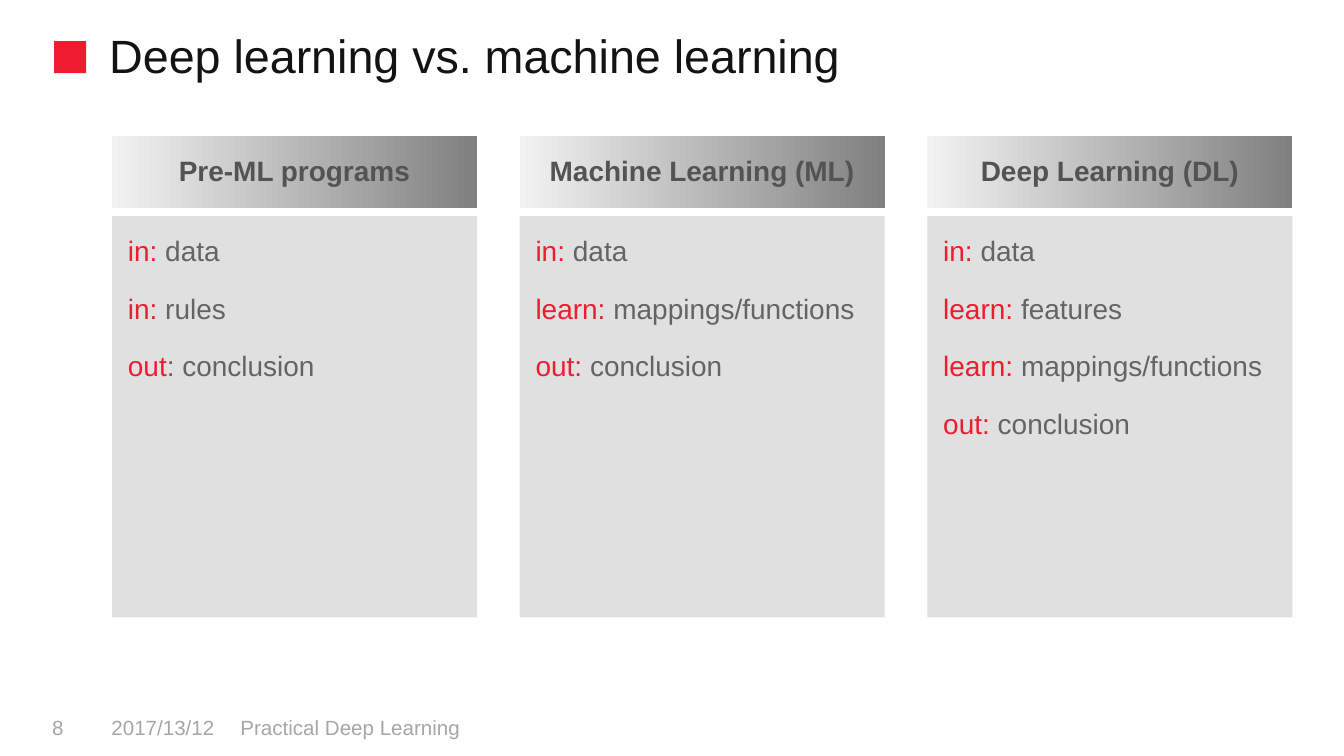
from dataclasses import dataclass

from pptx import Presentation
from pptx.dml.color import RGBColor
from pptx.enum.shapes import MSO_SHAPE as Shape
from pptx.enum.text import MSO_ANCHOR as Anchor, MSO_AUTO_SIZE as AutoSize, PP_ALIGN as Align
from pptx.util import Pt

TITLE = "Deep learning vs. machine learning"
APPROACHES = [
    ("Pre-ML programs", [("in: ", "data"), ("in: ", "rules"), ("out", ": conclusion")]),
    ("Machine Learning (ML)",
     [("in: ", "data"), ("learn: ", "mappings/functions"), ("out: ", "conclusion")]),
    ("Deep Learning (DL)",
     [("in: ", "data"), ("learn: ", "features"), ("learn: ", "mappings/functions"),
      ("out: ", "conclusion")]),
]
FOOTER = [  # text, left, width
    ("Practical Deep Learning", 121.7, 309),
    ("8", 20.9, 39),
    ("2017/13/12", 52.6, 70.6),
]


@dataclass(frozen=True)
class Theme:
    font: str = "Arial"
    accent: str = "ED1C2E"
    title: str = "141313"
    heading: str = "535353"
    body: str = "636466"
    footer: str = "A6A6A6"
    panel: str = "E0E0E1"
    fade: tuple = ("F2F2F2", "808080")
    title_size: float = 25
    body_size: float = 15
    footer_size: float = 11


THEME = Theme()
COLUMN_LEFT, COLUMN_STEP, COLUMN_WIDTH = 60, 218.4, 195.5
HEADING_TOP, HEADING_HEIGHT = 73, 38.5
PANEL_TOP, PANEL_HEIGHT = 115.8, 215


def rgb(value):
    return RGBColor.from_string(value)


def write(holder, paragraphs, size, bold=False, align=Align.LEFT, anchor=Anchor.TOP,
          insets=(7.2, 3.6), line=None, before=0):
    """Fill a shape with paragraphs, each a list of (text, colour) runs."""
    frame = holder.text_frame
    frame.word_wrap = True
    frame.auto_size = AutoSize.NONE
    frame.vertical_anchor = anchor
    frame.margin_left = frame.margin_right = Pt(insets[0])
    frame.margin_top = frame.margin_bottom = Pt(insets[1])
    for index, runs in enumerate(paragraphs):
        paragraph = frame.add_paragraph() if index else frame.paragraphs[0]
        paragraph.alignment = align
        paragraph.space_before = Pt(before)
        if line:
            paragraph.line_spacing = line
        for text, colour in runs:
            run = paragraph.add_run()
            run.text = text
            run.font.name = THEME.font
            run.font.size = Pt(size)
            run.font.bold = bold
            run.font.color.rgb = rgb(colour)


def add_box(shapes, left, top, width, height, colour=None):
    """Add a borderless rectangle, with the theme's fade if no colour is given."""
    box = shapes.add_shape(Shape.RECTANGLE, Pt(left), Pt(top), Pt(width), Pt(height))
    box.shadow.inherit = False
    box.line.fill.background()
    if colour:
        box.fill.solid()
        box.fill.fore_color.rgb = rgb(colour)
    else:
        box.fill.gradient()
        box.fill.gradient_angle = 0
        for stop, shade in zip(box.fill.gradient_stops, THEME.fade):
            stop.color.rgb = rgb(shade)
    return box


def add_approach(slide, left, name, steps):
    group = slide.shapes.add_group_shape()
    heading = add_box(group.shapes, left, HEADING_TOP, COLUMN_WIDTH, HEADING_HEIGHT)
    write(heading, [[(name, THEME.heading)]], THEME.body_size, bold=True,
          align=Align.CENTER, anchor=Anchor.MIDDLE, line=Pt(16))
    panel = add_box(group.shapes, left, PANEL_TOP, COLUMN_WIDTH, PANEL_HEIGHT, THEME.panel)
    write(panel, [[(role, THEME.accent), (item, THEME.body)] for role, item in steps],
          THEME.body_size, insets=(8.5, 8.5), line=1.05, before=12)


def main():
    deck = Presentation()
    deck.slide_width, deck.slide_height = Pt(720), Pt(405)
    slide = deck.slides.add_slide(deck.slide_layouts[5])

    add_box(slide.shapes, 29, 22, 17.2, 17.2, THEME.accent)
    title = slide.shapes.title
    title.left, title.top, title.width, title.height = Pt(50), Pt(10), Pt(641.5), Pt(57)
    write(title, [[(TITLE, THEME.title)]], THEME.title_size,
          insets=(8.5, 3.6), line=Pt(31))

    for text, left, width in FOOTER:
        note = slide.shapes.add_textbox(Pt(left), Pt(379), Pt(width), Pt(21.6))
        write(note, [[(text, THEME.footer)]], THEME.footer_size, anchor=Anchor.MIDDLE)

    for column, (name, steps) in enumerate(APPROACHES):
        add_approach(slide, COLUMN_LEFT + column * COLUMN_STEP, name, steps)

    deck.save("out.pptx")


if __name__ == "__main__":
    main()
